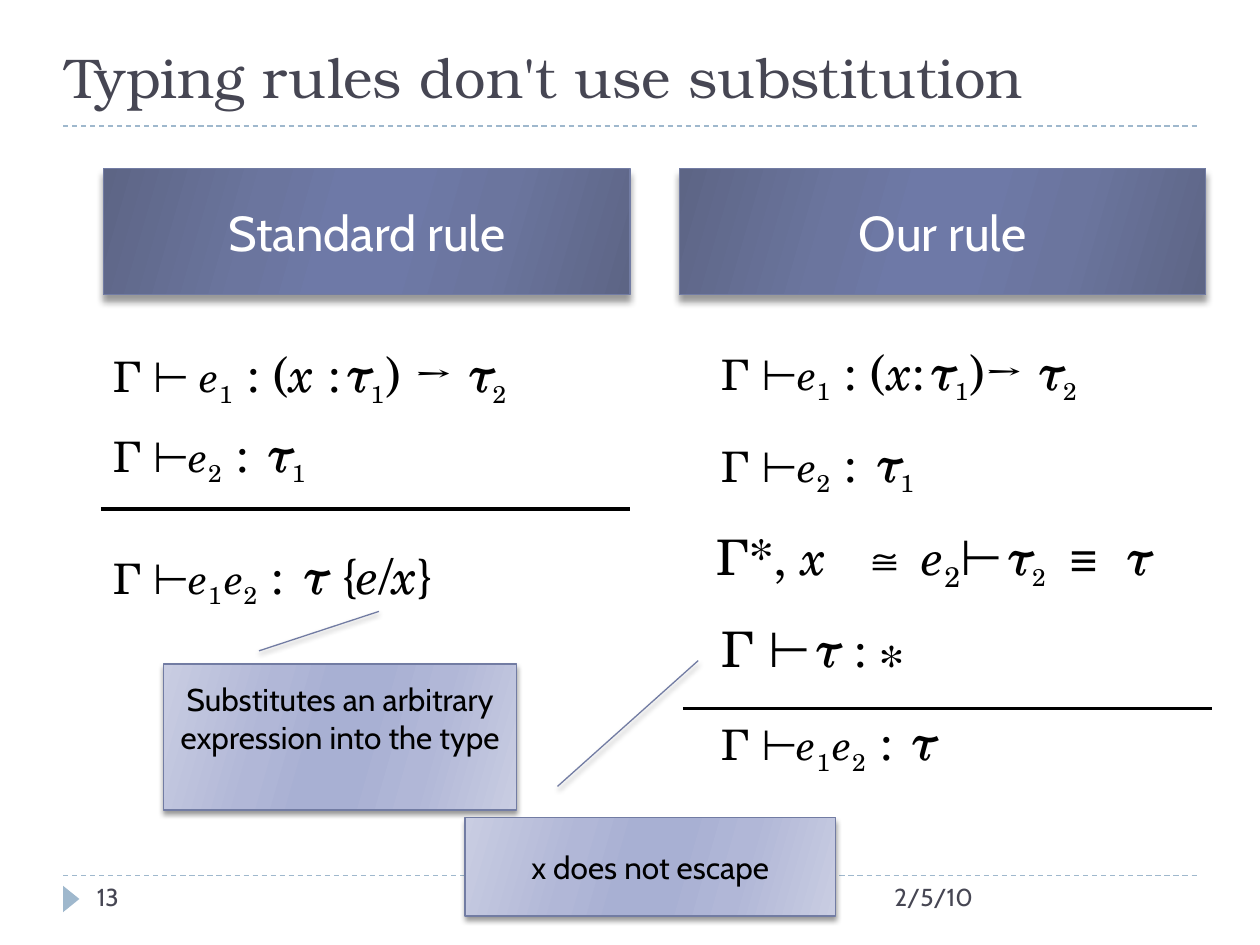
from lxml import etree
from pptx import Presentation
from pptx.dml.color import RGBColor
from pptx.enum.dml import MSO_LINE
from pptx.enum.shapes import MSO_CONNECTOR, MSO_SHAPE
from pptx.enum.text import MSO_ANCHOR, PP_ALIGN
from pptx.oxml import parse_xml
from pptx.oxml.ns import nsdecls, qn
from pptx.util import Inches, Pt

RECTANGLE = MSO_SHAPE.RECTANGLE
CALLOUT = MSO_SHAPE.LINE_CALLOUT_1
TRIANGLE = MSO_SHAPE.ISOSCELES_TRIANGLE
STRAIGHT = MSO_CONNECTOR.STRAIGHT
DASH = MSO_LINE.DASH
CENTER, LEFT = PP_ALIGN.CENTER, PP_ALIGN.LEFT
MIDDLE, BOTTOM = MSO_ANCHOR.MIDDLE, MSO_ANCHOR.BOTTOM

COLORS = {"ink": "000000", "white": "FFFFFF", "heading": "464653",
          "accent": "9FB8CD", "border": "727CA3"}
HEADER_SHADES = ("5D6585", "6B759E", "6E79A7")
NOTE_SHADES = ("C9CDE2", "B1B7D7", "A8B0D3")
TITLE_FONT, BODY_FONT, MATH_FONT = "TeX Gyre Bonum", "Cabin", "TeX Gyre Schola"


def rgb(name):
    return RGBColor.from_string(COLORS[name])


def style_run(run, size, color, font):
    run.font.size = Pt(size)
    run.font.name = font
    run.font.color.rgb = rgb(color)


# Pieces of a formula: (text, size, font, italic, subscript, extra spacing)
def plain(text, size=28, font=MATH_FONT, spacing=0):
    return text, size, font, False, False, spacing


def var(text, size=28):
    return text, size, MATH_FONT, True, False, 0


def sub(text, size=24):
    return text, size, MATH_FONT, False, True, 0


def turnstile(size=24, text="⊢"):
    return plain(text, size, "Open Sans")


def gamma(size=24):
    return plain("Γ ", size)


def tau(index):
    return [var("τ"), sub(index)]


def function_premise(tack, binder, closing):
    return [gamma(), turnstile(text=tack), var("e", 24), sub("1"), plain(" : ("),
            var(binder), plain(":"), *tau("1"), plain(closing),
            plain("→ ", font="Cambria"), *tau("2")]


ARGUMENT_PREMISE = [gamma(), turnstile(), var("e", 24), sub("2"),
                    plain(" : "), *tau("1")]
APPLICATION = [gamma(), turnstile(), var("e", 24), sub("1"), sub(" ", 12),
               var("e", 24), sub("2"), plain(" : ")]
EQUIVALENCE = [plain("Γ*, "), var("x"), plain(" ", spacing=12),
               plain("≅ ", font="Arial"), var("e"), sub("2", 28), turnstile(28),
               *tau("2"), plain(" ≡ "), var("τ")]
WELL_FORMED = [gamma(28), turnstile(28), var("τ "), plain(": "), plain("∗", 24)]
SUBSTITUTED_TYPE = [var("τ "), plain("{"), var("e"), plain("/"), var("x"), plain("}")]


def add_box(slide, left, top, width, height):
    box = slide.shapes.add_textbox(*map(Inches, (left, top, width, height)))
    box.text_frame.word_wrap = True
    return box.text_frame


def add_formula(slide, left, top, width, pieces):
    frame = add_box(slide, left, top, width, 0.57)
    frame.margin_right = 0
    for text, size, font, italic, subscript, spacing in pieces:
        run = frame.paragraphs[0].add_run()
        run.text = text
        style_run(run, size, "ink", font)
        run.font.italic = italic
        props = run.font.fill._xPr
        if subscript:
            props.set("baseline", "-25000")
        if spacing:
            props.set("spc", str(spacing * 100))
        east_asian = etree.Element(qn("a:ea"), typeface=font)
        props.find(qn("a:latin")).addnext(east_asian)


def add_footer_text(slide, left, width, text):
    frame = add_box(slide, left, 6.95, width, 0.4)
    frame.text = text
    style_run(frame.paragraphs[0].runs[0], 14, "heading", BODY_FONT)


def add_rule(slide, left, right, y, color, weight, dash=None):
    rule = slide.shapes.add_connector(
        STRAIGHT, Inches(left), Inches(y), Inches(right), Inches(y))
    rule.line.color.rgb = rgb(color)
    rule.line.width = Pt(weight)
    if dash is not None:
        rule.line.dash_style = dash
    etree.SubElement(rule._element.spPr, qn("a:effectLst"))


def add_panel(slide, kind, bounds, text, size, color, shades, blur, distance):
    panel = slide.shapes.add_shape(kind, *map(Inches, bounds))
    props = panel._element.spPr
    # Symmetric gradient: edge, middle, centre, and back
    edge, middle, center = shades
    stops = zip((0, 30, 45, 55, 73, 100),
                (edge, middle, center, center, middle, edge))
    stop_xml = "".join(f'<a:gs pos="{pos * 1000}"><a:srgbClr val="{shade}"/></a:gs>'
                       for pos, shade in stops)
    props.append(parse_xml(
        f'<a:gradFill {nsdecls("a")} rotWithShape="1"><a:gsLst>{stop_xml}</a:gsLst>'
        f'<a:lin ang="{16 * 60000}" scaled="0"/></a:gradFill>'))
    panel.line.color.rgb = rgb("border")
    panel.line.width = Pt(0.75)
    # Soft shadow straight below
    props.append(parse_xml(
        f'<a:effectLst {nsdecls("a")}><a:outerShdw blurRad="{Pt(blur)}" '
        f'dist="{Pt(distance)}" dir="5400000" rotWithShape="0">'
        '<a:srgbClr val="000000"><a:alpha val="40000"/></a:srgbClr>'
        '</a:outerShdw></a:effectLst>'))
    frame = panel.text_frame
    frame.word_wrap = True
    frame.vertical_anchor = MIDDLE
    frame.text = text
    frame.paragraphs[0].alignment = CENTER
    style_run(frame.paragraphs[0].runs[0], size, color, BODY_FONT)
    return panel


def add_header(slide, left, text):
    add_panel(slide, RECTANGLE, (left, 1.34, 4.18, 1), text, 28, "white",
              HEADER_SHADES, 4, 3.4)


def add_note(slide, bounds, text, pointer):
    note = add_panel(slide, CALLOUT, bounds, text, 18, "ink", NOTE_SHADES, 3, 2)
    for index, value in enumerate(pointer):
        note.adjustments[index] = value
    return note


def add_title(slide, text):
    title = slide.shapes.title
    title.left, title.top, title.width, title.height = map(
        Inches, (0.42, 0.17, 9, 0.75))
    title.text_frame.text = text
    title.text_frame.vertical_anchor = BOTTOM
    title.text_frame.paragraphs[0].alignment = LEFT
    style_run(title.text_frame.paragraphs[0].runs[0], 32, "heading", TITLE_FONT)


def main():
    deck = Presentation()
    deck.slide_width, deck.slide_height = Inches(10), Inches(7.5)
    slide = deck.slides.add_slide(deck.slide_layouts[5])

    # Frame of the slide
    for y in (6.95, 1):
        add_rule(slide, 0.5, 9.5, y, "accent", 0.75, DASH)
    marker = slide.shapes.add_shape(
        TRIANGLE, *map(Inches, (0.46, 7.07, 0.21, 0.13)))
    marker.rotation = 90
    marker.shadow.inherit = False
    marker.fill.solid()
    marker.fill.fore_color.rgb = rgb("accent")
    marker.line.fill.background()
    add_title(slide, "Typing rules don't use substitution")
    add_footer_text(slide, 7, 2.5, "2/5/10")
    add_footer_text(slide, 0.67, 2.17, "13")

    # Standard rule
    add_formula(slide, 0.8, 2.68, 3.72, function_premise("⊢ ", "x ", ") "))
    add_formula(slide, 0.8, 3.31, 1.78, ARGUMENT_PREMISE)
    add_rule(slide, 0.8, 5, 4.04, "ink", 1.75)
    add_formula(slide, 0.8, 4.28, 4.02, APPLICATION + SUBSTITUTED_TYPE)

    # Our rule
    add_formula(slide, 5.63, 2.66, 3.19, function_premise("⊢", "x", ")"))
    add_formula(slide, 5.63, 3.39, 1.78, ARGUMENT_PREMISE)
    add_formula(slide, 5.59, 4.13, 3.74, EQUIVALENCE)
    add_formula(slide, 5.63, 4.86, 1.68, WELL_FORMED)
    add_rule(slide, 5.42, 9.62, 5.62, "ink", 1.75)
    add_formula(slide, 5.63, 5.6, 2.03, APPLICATION + [var("τ")])

    # Column headers and notes
    add_header(slide, 0.82, "Standard rule")
    add_header(slide, 5.39, "Our rule")
    substitution_note = add_note(
        slide, (1.3, 5.27, 2.8, 1.16),
        "Substitutes an arbitrary expression into the type",
        (-0.09, 0.27, -0.36, 0.61))
    substitution_note.text_frame.margin_bottom = Inches(0.35)
    add_note(slide, (3.69, 6.49, 2.94, 0.78), "x does not escape",
             (-0.32, 0.25, -1.6, 0.63))

    deck.save("out.pptx")


if __name__ == "__main__":
    main()
